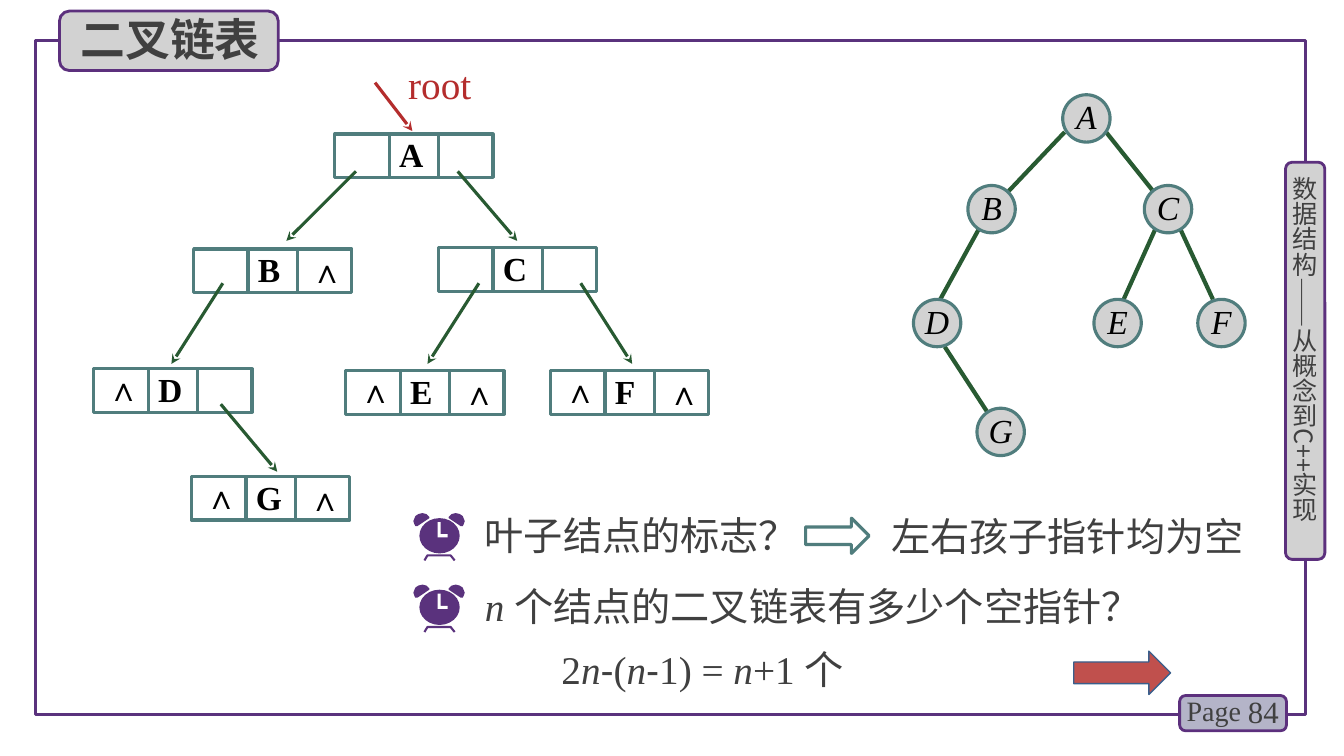
from pptx import Presentation
from pptx.dml.color import RGBColor
from pptx.enum import shapes, text
from pptx.oxml.ns import qn
from pptx.util import Inches, Pt
from lxml import etree

COLOURS = {
    "frame": "5A327D", "border": "5C307D", "panel": "D2D2D2", "page": "B4B4C8",
    "node": "507D7D", "link": "285A32", "root": "B42D2D", "ink": "404040",
    "black": "000000", "white": "FFFFFF", "next": "C0504D", "next_edge": "3A5F8C",
}
TIMES, HAN, ARIAL = "Times New Roman", "Noto Sans CJK SC", "Arial"

TITLE = "二叉链表"
SIDEBAR = "数据结构——从概念到C++实现"
NULL = "∧"

# letter: (left, top, left pointer is null, right pointer is null)
LIST_NODES = {
    "A": (3.32, 1.33, False, False),
    "B": (1.92, 2.47, False, True),
    "C": (4.35, 2.46, False, False),
    "D": (0.93, 3.66, True, False),
    "E": (3.43, 3.68, True, True),
    "F": (5.46, 3.68, True, True),
    "G": (1.9, 4.73, True, True),
}
POINTERS = [
    (3.53, 1.7, 2.84, 2.39), (4.54, 1.7, 5.13, 2.39),
    (2.21, 2.81, 1.7, 3.61), (4.75, 2.81, 4.24, 3.61),
    (5.76, 2.81, 6.27, 3.61), (2.19, 4.01, 2.75, 4.68),
]
ROOT_POINTER = (3.72, 0.82, 4.09, 1.3)

TREE_NODES = {
    "A": (10.54, 0.94), "B": (9.6, 1.84), "C": (11.35, 1.84), "D": (9.06, 2.97),
    "E": (10.85, 2.97), "F": (11.88, 2.97), "G": (9.69, 4.05),
}
TREE_EDGES = [
    (10.56, 1.31, 10, 1.9), (10.97, 1.31, 11.44, 1.9),
    (9.71, 2.27, 9.32, 2.98), (9.37, 3.44, 9.8, 4.1),
    (11.46, 2.27, 11.14, 2.98), (11.71, 2.28, 12.03, 2.97),
]

LEAF_QUESTION = "叶子结点的标志？"
LEAF_ANSWER = "左右孩子指针均为空"
# runs: (words, font, italic)
COUNT_QUESTION = [("n ", TIMES, True), ("个结点的二叉链表有多少个空指针？", TIMES, False)]
COUNT_ANSWER = [
    ("2", TIMES, False), ("n", TIMES, True), ("-", ARIAL, False), ("(", TIMES, False),
    ("n", TIMES, True), ("-", ARIAL, False), ("1) = ", TIMES, False),
    ("n", TIMES, True), ("+1 个", TIMES, False),
]

# Clock outlines, measured from the clock's top left corner
CLOCK_WIDTH, CLOCK_LEFT, CLOCK_TOPS = 0.51, 4.1, (5.09, 5.8)
BELL = [(0.16, 0.04), (0.13, 0.01), (0.09, 0), (0.05, 0.01), (0.02, 0.03), (0, 0.08),
        (0.01, 0.11), (0.02, 0.13), (0.04, 0.13), (0.16, 0.05)]
HANDS = [(0.24, 0.09), (0.27, 0.09), (0.27, 0.21), (0.34, 0.21), (0.34, 0.24), (0.24, 0.24)]
FEET = [(0.11, 0.47), (0.14, 0.42), (0.37, 0.42), (0.41, 0.47)]

prs = Presentation()
prs.slide_width, prs.slide_height = Inches(13.33), Inches(7.5)
slide = prs.slides.add_slide(prs.slide_layouts[6])


def rgb(name):
    return RGBColor.from_string(COLOURS[name])


def paint(shape, fill=None, line=None, width=2.25):
    shape.shadow.inherit = False
    if fill:
        shape.fill.solid()
        shape.fill.fore_color.rgb = rgb(fill)
    else:
        shape.fill.background()
    if line:
        shape.line.color.rgb = rgb(line)
        shape.line.width = Pt(width)
    else:
        shape.line.fill.background()
    return shape


def draw(kind, at, fill=None, line=None, width=2.25):
    shape = slide.shapes.add_shape(kind, *map(Inches, at))
    return paint(shape, fill, line, width)


def outline(points, left, top, fill=None, line=None, width=1.5):
    """Draw a freeform from points relative to left and top; unfilled ones stay open."""
    spots = [(Inches(left + x), Inches(top + y)) for x, y in points]
    builder = slide.shapes.build_freeform(*spots[0])
    builder.add_line_segments(spots[1:], close=fill is not None)
    paint(builder.convert_to_shape(), fill, line, width)


def connect(ends, colour, width, arrow=False):
    link = slide.shapes.add_connector(shapes.MSO_CONNECTOR.STRAIGHT, *map(Inches, ends))
    link.line.color.rgb = rgb(colour)
    link.line.width = Pt(width)
    if arrow:
        etree.SubElement(link.line._get_or_add_ln(), qn("a:tailEnd"), type="stealth")
    etree.SubElement(link._element.spPr, qn("a:effectLst"))


def write(shape, words, size, colour="ink", font=TIMES, han=HAN, bold=False, italic=False,
          align=text.PP_ALIGN.LEFT, insets=(0.1, 0.05, 0.1, 0.05)):
    """Fill a shape with one paragraph; words is a string or a list of runs."""
    frame = shape.text_frame
    frame.word_wrap = True
    frame.vertical_anchor = text.MSO_ANCHOR.TOP
    (frame.margin_left, frame.margin_top,
     frame.margin_right, frame.margin_bottom) = map(Inches, insets)
    runs = [(words, font, italic)] if isinstance(words, str) else words
    paragraph = frame.paragraphs[0]
    paragraph.alignment = align
    for part, face, slanted in runs:
        run = paragraph.add_run()
        run.text = part
        run.font.size = Pt(size)
        run.font.bold, run.font.italic = bold, slanted
        run.font.color.rgb = rgb(colour)
        run.font.name = face
        etree.SubElement(run.font._element, qn("a:ea"), typeface=han)
    return frame


def label(at, words, size, **style):
    return write(slide.shapes.add_textbox(*map(Inches, at)), words, size, **style)


def list_node(letter, left, top, left_null, right_null):
    draw(KIND.RECTANGLE, (left, top, 1.57, 0.43), line="node")
    data = draw(KIND.RECTANGLE, (left + 0.54, top, 0.49, 0.43), line="node")
    write(data, letter, 24, colour="black", bold=True,
          align=text.PP_ALIGN.JUSTIFY, insets=(0.1, 0, 0.02, 0.01))
    for is_null, dx, dy in ((left_null, 0.07, -0.02), (right_null, 1.1, 0)):
        if is_null:
            label((left + dx, top + dy, 0.46, 0.4), NULL, 24, colour="black", han=TIMES,
                  bold=True, insets=(0.06, 0.01, 0.02, 0.01))


def alarm_clock(left, top):
    outline(FEET, left, top, line="frame")
    outline(BELL, left, top, fill="frame")
    outline([(CLOCK_WIDTH - x, y) for x, y in BELL], left, top, fill="frame")
    draw(KIND.OVAL, (left + 0.06, top + 0.05, 0.4, 0.35), fill="frame")
    outline(HANDS, left, top, fill="white")


KIND = shapes.MSO_SHAPE

# Frame, page number and sidebar
draw(KIND.RECTANGLE, (0.35, 0.4, 12.6, 6.69), line="frame")
draw(KIND.ROUNDED_RECTANGLE, (11.7, 6.9, 1.06, 0.35), "page", "border", 2)
page_number = label((12.07, 6.86, 0.71, 0.4), "84", 22, align=text.PP_ALIGN.RIGHT)
page_number.vertical_anchor = text.MSO_ANCHOR.MIDDLE
label((11.67, 6.83, 0.78, 0.44), "Page", 20)
draw(KIND.ROUNDED_RECTANGLE, (12.75, 1.61, 0.39, 3.94), "panel", "border", 2)
sidebar = label((12.79, 1.75, 0.3, 3.78), SIDEBAR, 18, font=HAN, insets=(0, 0, 0, 0))
sidebar._txBody.bodyPr.set("vert", "eaVert")

# Binary tree
for edge in TREE_EDGES:
    connect(edge, "link", 3)
for letter, (left, top) in TREE_NODES.items():
    circle = draw(KIND.OVAL, (left, top, 0.47, 0.47), "panel", "node")
    node_text = write(circle, letter, 24, colour="black", italic=True,
                      align=text.PP_ALIGN.CENTER, insets=(0, 0, 0, 0))
    node_text.paragraphs[0].line_spacing = Pt(25)

# Linked list
for letter, node in LIST_NODES.items():
    list_node(letter, *node)
for pointer in POINTERS:
    connect(pointer, "link", 2.25, arrow=True)
connect(ROOT_POINTER, "root", 2.25, arrow=True)
label((3.95, 0.55, 1.41, 0.57), "root", 28, colour="root")

# Title
draw(KIND.ROUNDED_RECTANGLE, (0.59, 0.11, 2.17, 0.59), "panel", "border", 2)
label((0.7, 0.07, 2.15, 0.64), TITLE, 32, font=HAN, bold=True)

# Questions and answers
for clock_top in CLOCK_TOPS:
    alarm_clock(CLOCK_LEFT, clock_top)
label((4.71, 5.02, 3.42, 0.57), LEAF_QUESTION, 28, font=HAN)
draw(KIND.RIGHT_ARROW, (7.99, 5.14, 0.63, 0.35), line="node")
label((8.74, 5.03, 3.82, 0.57), LEAF_ANSWER, 28, font=HAN)
label((4.71, 5.73, 7.49, 0.57), COUNT_QUESTION, 28)
label((5.47, 6.35, 5.58, 0.57), COUNT_ANSWER, 28)
draw(KIND.RIGHT_ARROW, (10.65, 6.46, 0.96, 0.43), "next", "next_edge", 1)

prs.save("out.pptx")
